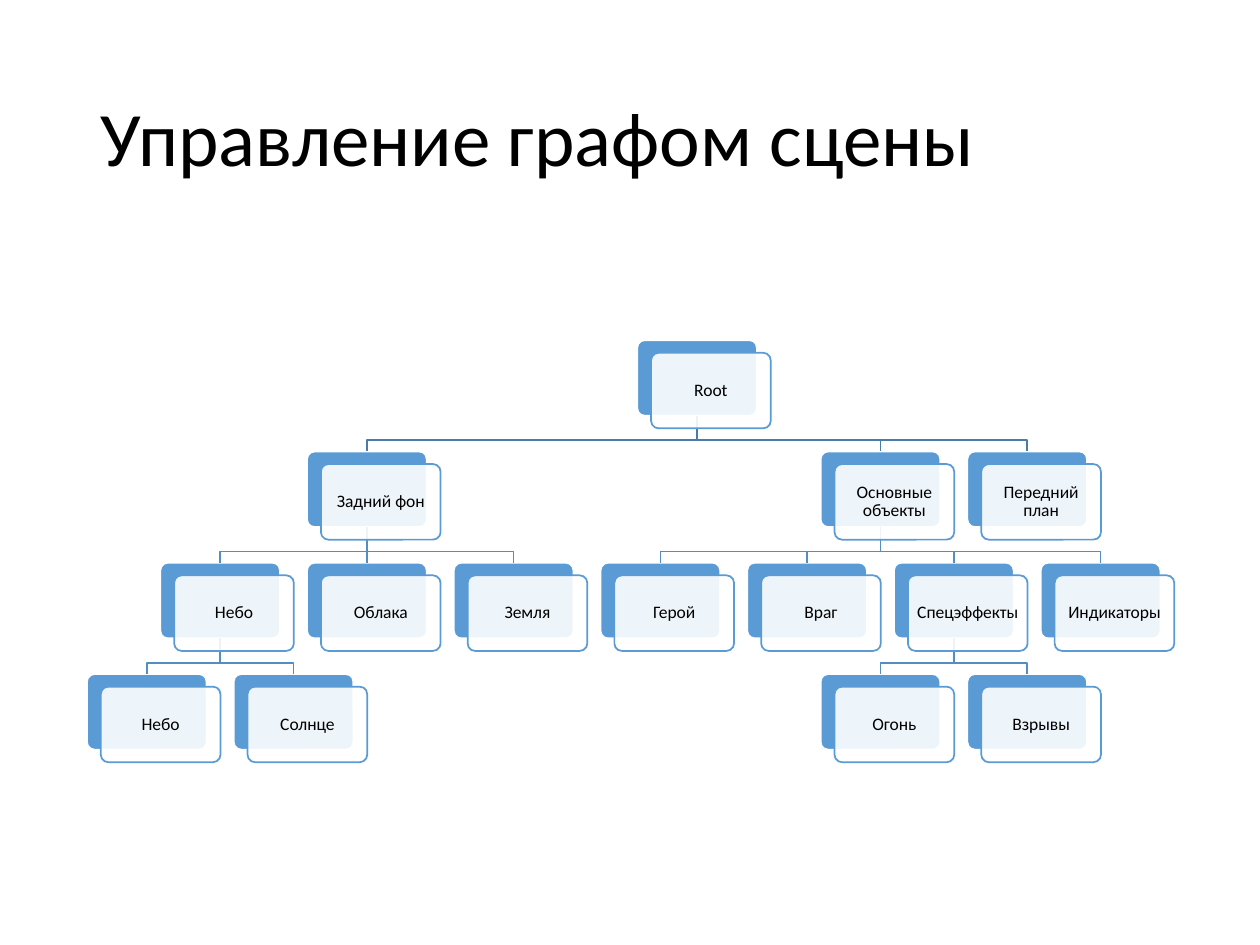
from dataclasses import dataclass
from typing import Iterator, Optional

from lxml import etree
from pptx import Presentation, util as u
from pptx.dml.color import RGBColor
from pptx.enum import shapes, text
from pptx.oxml.ns import qn


@dataclass(frozen=True)
class Theme:
    font: str = "Calibri"
    title_size: int = 44
    node_size: int = 10
    ink: str = "000000"
    paper: str = "FFFFFF"
    accent: str = "5B9BD5"
    root_wire: str = "497CAB"
    wire: str = "538DC1"
    card_opacity: int = 90


@dataclass(frozen=True)
class Grid:
    """Inches; one column is half the distance between sibling boxes."""
    left: float = 0.69
    top: float = 2.7
    column: float = 7.57 / 13
    row: float = 2.65 / 3
    box_width: float = 0.95
    box_height: float = 0.6
    card_right: float = 0.11
    card_down: float = 0.1
    wire_gap: float = 0.09

    def corner(self, column: float, row: int) -> tuple[float, float]:
        return self.left + column * self.column, self.top + row * self.row


@dataclass(frozen=True)
class Node:
    label: str
    column: float
    children: tuple["Node", ...] = ()


@dataclass
class Placed:
    node: Node
    row: int
    parent: Optional["Placed"]
    plate: object = None


THEME = Theme()
GRID = Grid()
SLIDE_WIDTH, SLIDE_HEIGHT = u.Inches(10), u.Inches(7.5)

SCENE = Node("Root", 7.5, (
    Node("Задний фон", 3, (
        Node("Небо", 1, (Node("Небо", 0), Node("Солнце", 2))),
        Node("Облака", 3),
        Node("Земля", 5),
    )),
    Node("Основные объекты", 10, (
        Node("Герой", 7),
        Node("Враг", 9),
        Node("Спецэффекты", 11, (Node("Огонь", 10), Node("Взрывы", 12))),
        Node("Индикаторы", 13),
    )),
    Node("Передний план", 12),
))


def walk(node: Node, row: int = 0, parent: Optional[Placed] = None) -> Iterator[Placed]:
    placed = Placed(node, row, parent)
    yield placed
    for child in node.children:
        yield from walk(child, row + 1, placed)


def colour(value: str) -> RGBColor:
    return RGBColor.from_string(value)


def write(frame, words: str, size: int, inset: Optional[float] = None) -> None:
    frame.text = words
    frame.word_wrap = True
    frame.vertical_anchor = text.MSO_ANCHOR.MIDDLE
    if inset is not None:
        frame.margin_left = frame.margin_right = u.Inches(inset)
        frame.margin_top = frame.margin_bottom = u.Inches(inset)
    paragraph = frame.paragraphs[0]
    paragraph.line_spacing = 0.9
    font = paragraph.runs[0].font
    font.name, font.size = THEME.font, u.Pt(size)
    font.color.rgb = colour(THEME.ink)


def add_title(slide, words: str) -> None:
    title = slide.shapes.add_textbox(
        int(SLIDE_WIDTH * 0.07), int(SLIDE_HEIGHT * 0.05),
        int(SLIDE_WIDTH * 0.86), int(SLIDE_HEIGHT * 0.2))
    write(title.text_frame, words, THEME.title_size)


def add_box(slide, placed: Placed, fill: str, line: str,
            right: float = 0, down: float = 0):
    left, top = GRID.corner(placed.node.column, placed.row)
    box = slide.shapes.add_shape(
        shapes.MSO_SHAPE.ROUNDED_RECTANGLE, u.Inches(left + right), u.Inches(top + down),
        u.Inches(GRID.box_width), u.Inches(GRID.box_height))
    box.adjustments[0] = 0.1
    box.shadow.inherit = False
    box.fill.solid()
    box.fill.fore_color.rgb = colour(fill)
    box.line.color.rgb = colour(line)
    box.line.width = u.Pt(1)
    return box


def add_card(slide, placed: Placed) -> None:
    """Add the translucent labelled box in front of a node's plate."""
    card = add_box(slide, placed, THEME.paper, THEME.accent,
                   GRID.card_right, GRID.card_down)
    tint = card._element.spPr.find(qn("a:solidFill"))[0]
    etree.SubElement(tint, qn("a:alpha"), val=str(THEME.card_opacity * 1000))
    write(card.text_frame, placed.node.label, THEME.node_size, inset=0.04)
    card.text_frame.paragraphs[0].alignment = text.PP_ALIGN.CENTER


def add_wire(slide, child: Placed) -> None:
    """Link a node to its parent, bending only if their columns differ."""
    parent = child.parent
    start_x = parent.plate.left + parent.plate.width // 2
    start_y = parent.plate.top + parent.plate.height
    end_x = child.plate.left + child.plate.width // 2
    end_y = child.plate.top
    if parent.node.column == child.node.column:
        wire = slide.shapes.add_connector(
            shapes.MSO_CONNECTOR.STRAIGHT, start_x, start_y, end_x, end_y)
        wire.begin_connect(parent.plate, 2)
        wire.end_connect(child.plate, 0)
        etree.SubElement(wire._element.spPr, qn("a:effectLst"))
    else:
        bend_y = end_y - u.Inches(GRID.wire_gap)
        outline = slide.shapes.build_freeform(start_x, start_y)
        outline.add_line_segments(
            [(start_x, bend_y), (end_x, bend_y), (end_x, end_y)], close=False)
        wire = outline.convert_to_shape()
        wire.fill.background()
        wire.shadow.inherit = False
    wire.line.color.rgb = colour(THEME.wire if parent.row else THEME.root_wire)
    wire.line.width = u.Pt(1)


def main() -> None:
    deck = Presentation()
    deck.slide_width, deck.slide_height = SLIDE_WIDTH, SLIDE_HEIGHT
    slide = deck.slides.add_slide(deck.slide_layouts[6])
    add_title(slide, "Управление графом сцены")

    scene_nodes = list(walk(SCENE))
    for placed in scene_nodes:
        placed.plate = add_box(slide, placed, THEME.accent, THEME.paper)
    for placed in scene_nodes:
        if placed.parent:
            add_wire(slide, placed)
    for placed in scene_nodes:
        add_card(slide, placed)

    deck.save("out.pptx")


if __name__ == "__main__":
    main()
